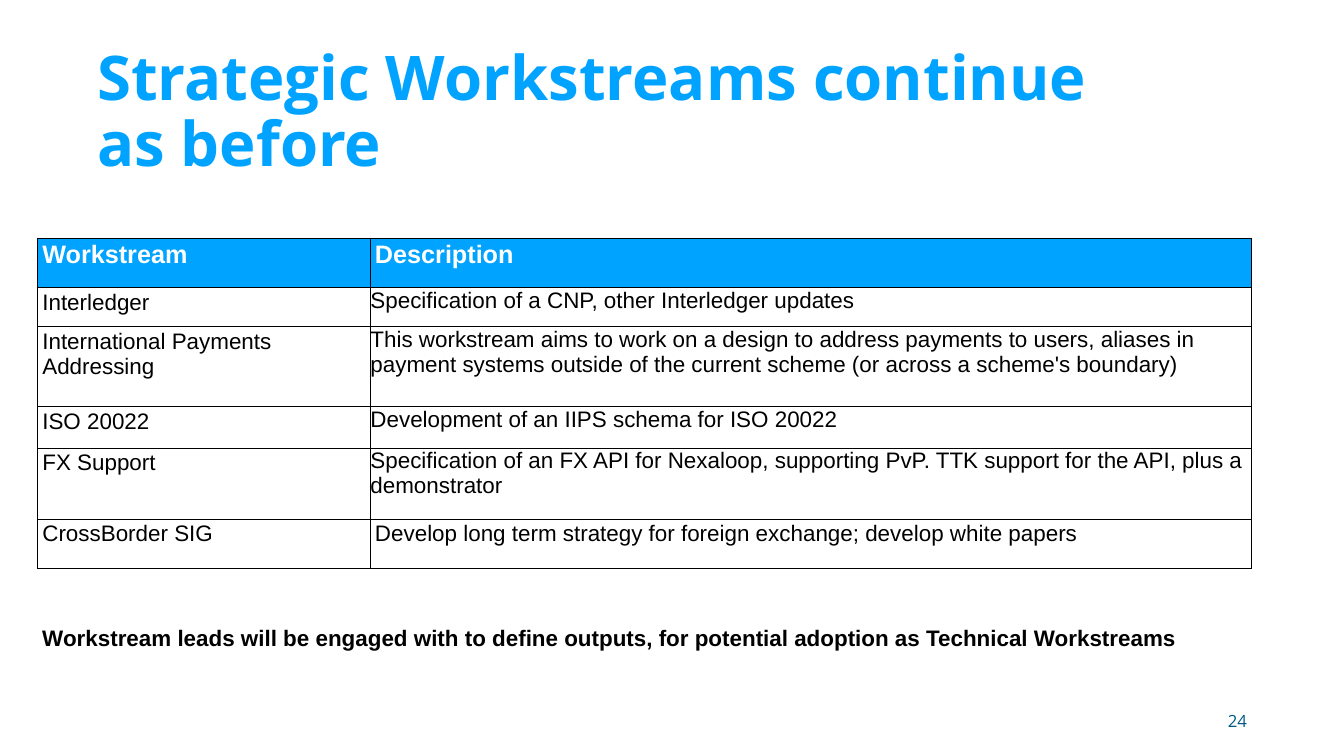
from dataclasses import dataclass
from typing import NamedTuple

from lxml.etree import SubElement
from pptx import Presentation
from pptx.dml.color import RGBColor
from pptx.enum.text import MSO_ANCHOR, PP_ALIGN
from pptx.oxml.ns import qn
from pptx.slide import Slide
from pptx.table import _Cell
from pptx.text.text import TextFrame
from pptx.util import Pt


class Style(NamedTuple):
    font: str
    size: float
    color: str
    bold: bool = False


@dataclass(frozen=True)
class Theme:
    blue: str = "00A3FF"
    white: str = "FFFFFF"
    black: str = "000000"
    title: Style = Style("Open Sans", 88, blue, True)
    head: Style = Style("Arial", 36, white, True)
    body: Style = Style("Arial", 32, black)
    note: Style = Style("Arial", 32, black, True)
    number: Style = Style("Open Sans", 24, "005A83")
    border: float = 1


class Box(NamedTuple):
    left: float
    top: float
    width: float
    height: float


class Row(NamedTuple):
    name: str
    about: str
    height: float
    tight: bool = True


THEME = Theme()
COLS = (475.2, 1259.3)
HEAD = Row("Workstream", "Description", 70, False)
ROWS = (
    Row("Interledger", "Specification of a CNP, other Interledger updates", 56),
    Row(
        "International Payments Addressing",
        "This workstream aims to work on a design to address payments to users, "
        "aliases in payment systems outside of the current scheme "
        "(or across a scheme's boundary)",
        114.5,
    ),
    Row("ISO 20022", "Development of an IIPS schema for ISO 20022", 59),
    Row(
        "FX Support",
        "Specification of an FX API for Nexaloop, supporting PvP. "
        "TTK support for the API, plus a demonstrator",
        101.5,
    ),
    Row(
        "CrossBorder SIG",
        "Develop long term strategy for foreign exchange; develop white papers",
        70,
        False,
    ),
)


def write(frame: TextFrame, text: str, style: Style) -> None:
    frame.text = text
    font = frame.paragraphs[0].runs[0].font
    font.name, font.size, font.bold = style.font, Pt(style.size), style.bold
    font.color.rgb = RGBColor.from_string(style.color)


def add_text(slide: Slide, box: Box, text: str, style: Style,
             anchor: MSO_ANCHOR = MSO_ANCHOR.TOP, wrap: bool = True) -> TextFrame:
    frame = slide.shapes.add_textbox(*map(Pt, box)).text_frame
    frame.word_wrap = wrap
    frame.vertical_anchor = anchor
    write(frame, text, style)
    return frame


def outline(cell: _Cell) -> None:
    """Draw a thin line on all four sides of the cell."""
    props = cell._tc.get_or_add_tcPr()
    for side in ("a:lnL", "a:lnR", "a:lnT", "a:lnB"):
        line = SubElement(props, qn(side), w=str(Pt(THEME.border)))
        fill = SubElement(line, qn("a:solidFill"))
        SubElement(fill, qn("a:srgbClr"), val=THEME.black)


def fill_cell(cell: _Cell, text: str, style: Style, back: str, tight: bool) -> None:
    outline(cell)
    cell.fill.solid()
    cell.fill.fore_color.rgb = RGBColor.from_string(back)
    if tight:
        cell.margin_left = cell.margin_right = cell.margin_top = Pt(0.7)
        cell.margin_bottom = Pt(0)
    write(cell.text_frame, text, style)


def add_grid(slide: Slide, left: float, top: float) -> None:
    rows = (HEAD, *ROWS)
    box = Box(left, top, sum(COLS), sum(row.height for row in rows))
    table = slide.shapes.add_table(len(rows), len(COLS), *map(Pt, box)).table
    for col, width in zip(table.columns, COLS):
        col.width = Pt(width)
    for i, row in enumerate(rows):
        table.rows[i].height = Pt(row.height)
        style, back = (THEME.body, THEME.white) if i else (THEME.head, THEME.blue)
        fill_cell(table.cell(i, 0), row.name, style, back, False)
        fill_cell(table.cell(i, 1), row.about, style, back, row.tight)


def main() -> None:
    deck = Presentation()
    deck.slide_width, deck.slide_height = Pt(1920), Pt(1080)
    slide = deck.slides.add_slide(deck.slide_layouts[6])

    title = add_text(slide, Box(131.8, 57.6, 1486, 208.8),
                     "Strategic Workstreams continue as before",
                     THEME.title, MSO_ANCHOR.MIDDLE)
    title.paragraphs[0].line_spacing = 0.9

    number = add_text(slide, Box(1356.5, 1000.8, 432, 57.6), "24",
                      THEME.number, MSO_ANCHOR.MIDDLE)
    number.paragraphs[0].alignment = PP_ALIGN.RIGHT

    add_grid(slide, 53.3, 340.6)
    add_text(slide, Box(53.3, 887.8, 1651, 46),
             "Workstream leads will be engaged with to define outputs, "
             "for potential adoption as Technical Workstreams",
             THEME.note, wrap=False)
    deck.save("out.pptx")


if __name__ == "__main__":
    main()
